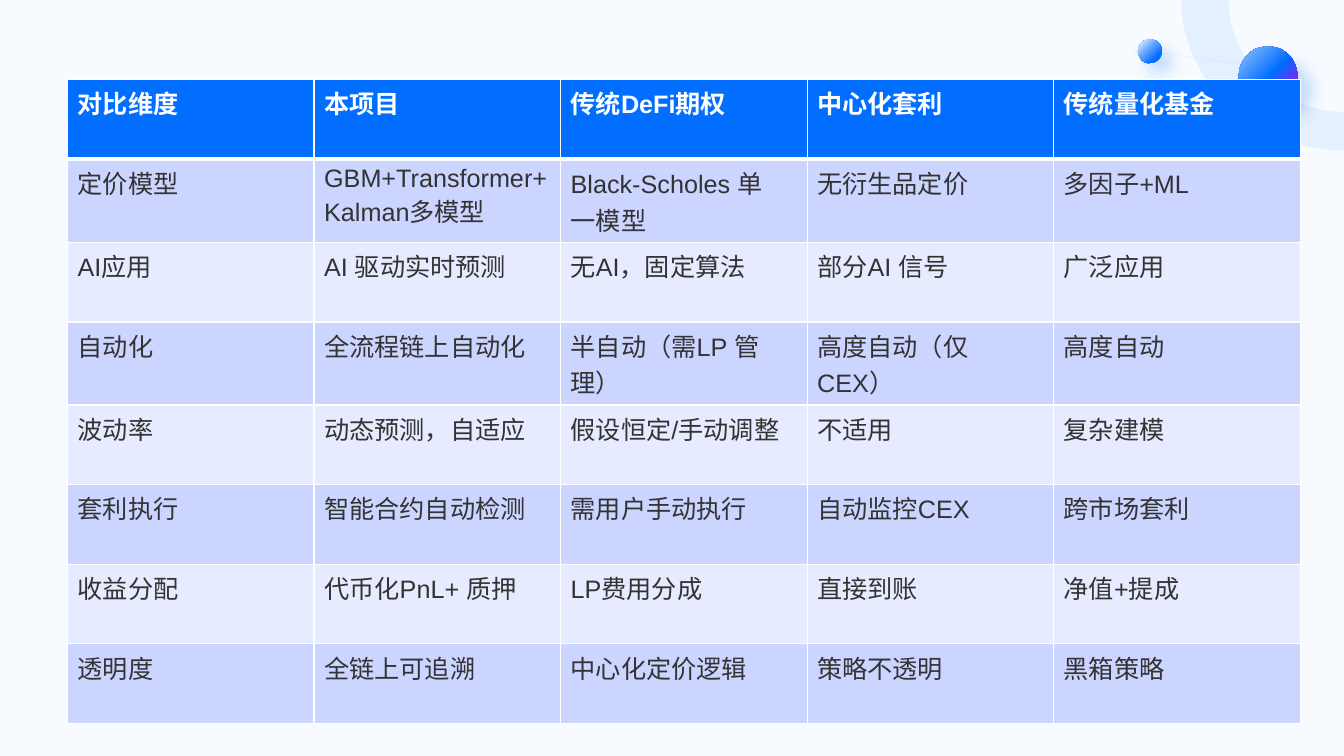
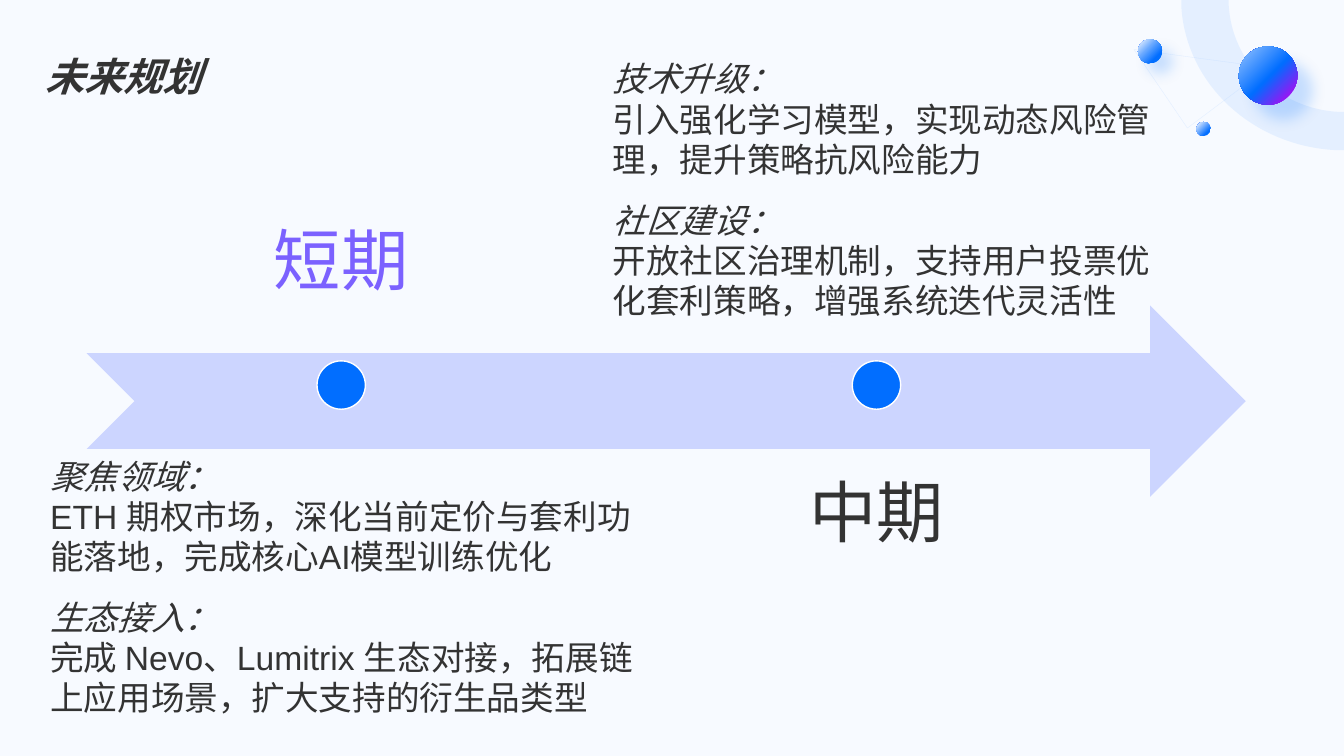
from lxml import etree
from pptx import Presentation
from pptx.dml.color import RGBColor
from pptx.enum.shapes import MSO_SHAPE
from pptx.enum.text import MSO_ANCHOR, MSO_AUTO_SIZE, PP_ALIGN
from pptx.oxml import parse_xml
from pptx.oxml.ns import nsdecls, qn
from pptx.util import Inches, Pt

RECT, OVAL, ARROW = MSO_SHAPE.RECTANGLE, MSO_SHAPE.OVAL, MSO_SHAPE.NOTCHED_RIGHT_ARROW
LEFT, CENTER = PP_ALIGN.LEFT, PP_ALIGN.CENTER
TOP, MIDDLE, BOTTOM = MSO_ANCHOR.TOP, MSO_ANCHOR.MIDDLE, MSO_ANCHOR.BOTTOM

SLIDE_W, SLIDE_H = 40 / 3, 7.5
PAGE, BLUE, PURPLE, INK, WHITE = "F7FAFF", "016EFF", "7B61FF", "333333", "FFFFFF"
LAVENDER, PALE_LAVENDER = "CCD5FF", "E7EBFF"
SKY, PALE_SKY = "99C5FF", "CCE2FF"
BODY_FONT, LABEL_FONT = "Arial", "TeX Gyre Schola"

# Left, top, diameter, gradient stops (percent, colour), shadow distance in points
BALLS = [
    (12.29, 0.46, 0.58, [(0, SKY), (52, BLUE), (85, "9618F4")], 15),
    (11.29, 0.39, 0.24, [(12, PALE_SKY), (40, "67A8FF"), (75, BLUE)], 10),
    (11.87, 1.21, 0.14, [(13, PALE_SKY), (75, BLUE)], 0),
]
TRIANGLE = [(11.25, 0.49), (12.58, 0.67), (11.78, 1.27)]
RING_INNER = [(12.19, 0.05), (12.22, 0.62), (12.69, 1.08), (13.28, 1.11)]
RING_OUTER = [(13.26, 1.49), (12.43, 1.45), (11.77, 0.84), (11.72, 0.07)]

COMPARISON = [
    ("对比维度", "本项目", "传统DeFi期权", "中心化套利", "传统量化基金"),
    ("定价模型", "GBM+Transformer+Kalman多模型", "Black-Scholes 单\n一模型",
     "无衍生品定价", "多因子+ML"),
    ("AI应用", "AI 驱动实时预测", "无AI，固定算法", "部分AI 信号", "广泛应用"),
    ("自动化", "全流程链上自动化", "半自动（需LP 管理）", "高度自动（仅CEX）", "高度自动"),
    ("波动率", "动态预测，自适应", "假设恒定/手动调整", "不适用", "复杂建模"),
    ("套利执行", "智能合约自动检测", "需用户手动执行", "自动监控CEX", "跨市场套利"),
    ("收益分配", "代币化PnL+ 质押", "LP费用分成", "直接到账", "净值+提成"),
    ("透明度", "全链上可追溯", "中心化定价逻辑", "策略不透明", "黑箱策略"),
]

PLAN_TITLE = "未来规划"
# Label, colour, left, top, anchor, line spacing
STAGES = [
    ("短期", PURPLE, 0.86, 1.44, BOTTOM, 0.9),
    ("中期", INK, 6.17, 4.3, TOP, 1.0),
]
STAGE_W, STAGE_H, DOT = 5.05, 1.9, 0.48
# Left, top, width, (heading, body) pairs
PLANS = [
    (0.4, 4.27, 6.26, [
        ("聚焦领域：", "ETH 期权市场，深化当前定价与套利功能落地，完成核心AI模型训练优化"),
        ("生态接入：", "完成 Nevo、Lumitrix 生态对接，拓展链上应用场景，扩大支持的衍生品类型"),
    ]),
    (5.98, 0.33, 5.8, [
        ("技术升级：", "引入强化学习模型，实现动态风险管理，提升策略抗风险能力"),
        ("社区建设：", "开放社区治理机制，支持用户投票优化套利策略，增强系统迭代灵活性"),
    ]),
]


def rgb(color):
    return RGBColor.from_string(color)


def paint(fill, color, alpha=None):
    """Solid fill, with opacity in percent if given."""
    fill.solid()
    fill.fore_color.rgb = rgb(color)
    if alpha is not None:
        solid = fill._xPr.find(qn("a:solidFill"))
        etree.SubElement(solid[0], qn("a:alpha"), val=str(alpha * 1000))


def style_text(p, size, color, font=BODY_FONT, bold=False, italic=False,
               align=LEFT, spacing=1.0):
    p.alignment, p.line_spacing = align, spacing
    f = p.font
    f.name, f.size, f.bold, f.italic = font, Pt(size), bold, italic
    f.color.rgb = rgb(color)


def plain(sp):
    sp.shadow.inherit = False
    sp.line.fill.background()
    return sp


def add_shape(slide, kind, x, y, w, h, color):
    sp = plain(slide.shapes.add_shape(kind, Inches(x), Inches(y), Inches(w), Inches(h)))
    paint(sp.fill, color)
    return sp


def add_outline(slide, points):
    pts = [(Inches(x), Inches(y)) for x, y in points]
    builder = slide.shapes.build_freeform(*pts[0])
    builder.add_line_segments(pts[1:], close=True)
    return plain(builder.convert_to_shape())


def bezier(p0, p1, p2, p3, steps=32):
    """Points along a cubic curve."""
    points = []
    for i in range(steps + 1):
        t = i / steps
        u = 1 - t
        points.append(tuple(u**3 * a + 3 * u * u * t * b + 3 * u * t * t * c + t**3 * d
                            for a, b, c, d in zip(p0, p1, p2, p3)))
    return points


def add_ball(slide, x, y, size, stops, distance):
    """Circle lit from the top left, with a soft blue shadow."""
    sp = add_shape(slide, OVAL, x, y, size, size, BLUE)
    gs = "".join(f'<a:gs pos="{pos * 1000}"><a:srgbClr val="{c}"/></a:gs>' for pos, c in stops)
    gradient = parse_xml(
        f'<a:gradFill {nsdecls("a")} rotWithShape="1"><a:gsLst>{gs}</a:gsLst>'
        '<a:path path="circle"><a:fillToRect r="100000" b="100000"/></a:path></a:gradFill>')
    sp_pr = sp.element.spPr
    sp_pr.replace(sp_pr.find(qn("a:solidFill")), gradient)
    if distance:
        sp_pr.find(qn("a:effectLst")).append(parse_xml(
            f'<a:outerShdw {nsdecls("a")} blurRad="{Pt(10)}" dist="{Pt(distance)}" '
            f'dir="2700000" algn="tl" rotWithShape="0"><a:srgbClr val="{BLUE}">'
            '<a:alpha val="20000"/></a:srgbClr></a:outerShdw>'))
    return sp


def decorate_master(prs, slide):
    """Draw the page and corner ornament on a slide, then move them to the master."""
    page = add_shape(slide, RECT, 0, 0, SLIDE_W, SLIDE_H, PAGE)

    triangle = add_outline(slide, TRIANGLE)
    triangle.fill.background()
    paint(triangle.line.fill, PALE_SKY)
    triangle.line.width = Pt(0.25)
    line_color = triangle.element.spPr.find(qn("a:ln")).find(qn("a:solidFill"))[0]
    etree.SubElement(line_color, qn("a:alpha"), val="50000")

    ring = add_outline(slide, [(11.72, 0), (12.19, 0), *bezier(*RING_INNER),
                               (SLIDE_W, 1.11), (SLIDE_W, 1.49), *bezier(*RING_OUTER)])
    paint(ring.fill, SKY, alpha=20)

    balls = [add_ball(slide, *ball) for ball in BALLS]
    first = prs.slide_master.placeholders[0].element
    for i, sp in enumerate([page, triangle, ring, *balls]):
        sp.element.xpath(".//p:cNvPr")[0].set("id", str(100 + i))
        first.addprevious(sp.element)


def set_border(cell, side, points):
    """White border on one side of a cell: lnL, lnR, lnT or lnB."""
    border = parse_xml(f'<a:{side} {nsdecls("a")} w="{Pt(points)}"><a:solidFill>'
                       f'<a:srgbClr val="{WHITE}"/></a:solidFill></a:{side}>')
    fill = cell._tc.get_or_add_tcPr().find(qn("a:solidFill"))
    fill.addprevious(border)


def build_comparison(slide):
    rows, cols = len(COMPARISON), len(COMPARISON[0])
    table = slide.shapes.add_table(rows, cols, Inches(0.67), Inches(0.79),
                                   Inches(12.23), Inches(6.32)).table
    for r, values in enumerate(COMPARISON):
        header = r == 0
        color = BLUE if header else (LAVENDER if r % 2 else PALE_LAVENDER)
        for c, value in enumerate(values):
            cell = table.cell(r, c)
            cell.text = value
            paint(cell.fill, color)
            for side in ("lnL", "lnR", "lnT", "lnB"):
                thick = (r, side) in ((0, "lnB"), (1, "lnT"))
                set_border(cell, side, 3 if thick else 1)
            for p in cell.text_frame.paragraphs:
                style_text(p, 18, WHITE if header else INK, bold=header)


def add_text(slide, x, y, w, h, anchor=TOP):
    tf = slide.shapes.add_textbox(Inches(x), Inches(y), Inches(w), Inches(h)).text_frame
    tf.word_wrap, tf.vertical_anchor = True, anchor
    return tf


def build_plan(slide):
    title = slide.shapes.title
    title.left, title.top = Inches(0.35), Inches(0.45)
    title.width, title.height = Inches(2.64), Inches(0.6)
    tf = title.text_frame
    tf.text = PLAN_TITLE
    tf.auto_size, tf.vertical_anchor = MSO_AUTO_SIZE.NONE, MIDDLE
    style_text(tf.paragraphs[0], 28, INK, bold=True, italic=True)

    add_shape(slide, ARROW, 0.86, 3.03, 11.5, 1.9, LAVENDER)
    for label, color, x, y, anchor, spacing in STAGES:
        tf = add_text(slide, x, y, STAGE_W, STAGE_H, anchor)
        tf.margin_left = tf.margin_right = tf.margin_top = tf.margin_bottom = Inches(0.37)
        tf.text = label
        style_text(tf.paragraphs[0], 48, color, LABEL_FONT, align=CENTER, spacing=spacing)
        dot = add_shape(slide, OVAL, x + (STAGE_W - DOT) / 2, 3.58, DOT, DOT, BLUE)
        paint(dot.line.fill, WHITE)
        dot.line.width = Pt(1)

    for x, y, w, items in PLANS:
        tf = add_text(slide, x, y, w, 3.23)
        tf.text = "\n".join(text for item in items for text in item)
        for i, p in enumerate(tf.paragraphs):
            heading = i % 2 == 0
            style_text(p, 24, INK, italic=heading, spacing=1.5 if heading else 1.0)


def main():
    prs = Presentation()
    prs.slide_width, prs.slide_height = Inches(SLIDE_W), Inches(SLIDE_H)
    title_only, blank = prs.slide_layouts[5], prs.slide_layouts[6]
    comparison = prs.slides.add_slide(blank)
    decorate_master(prs, comparison)
    build_comparison(comparison)
    build_plan(prs.slides.add_slide(title_only))
    prs.save("out.pptx")


if __name__ == "__main__":
    main()
